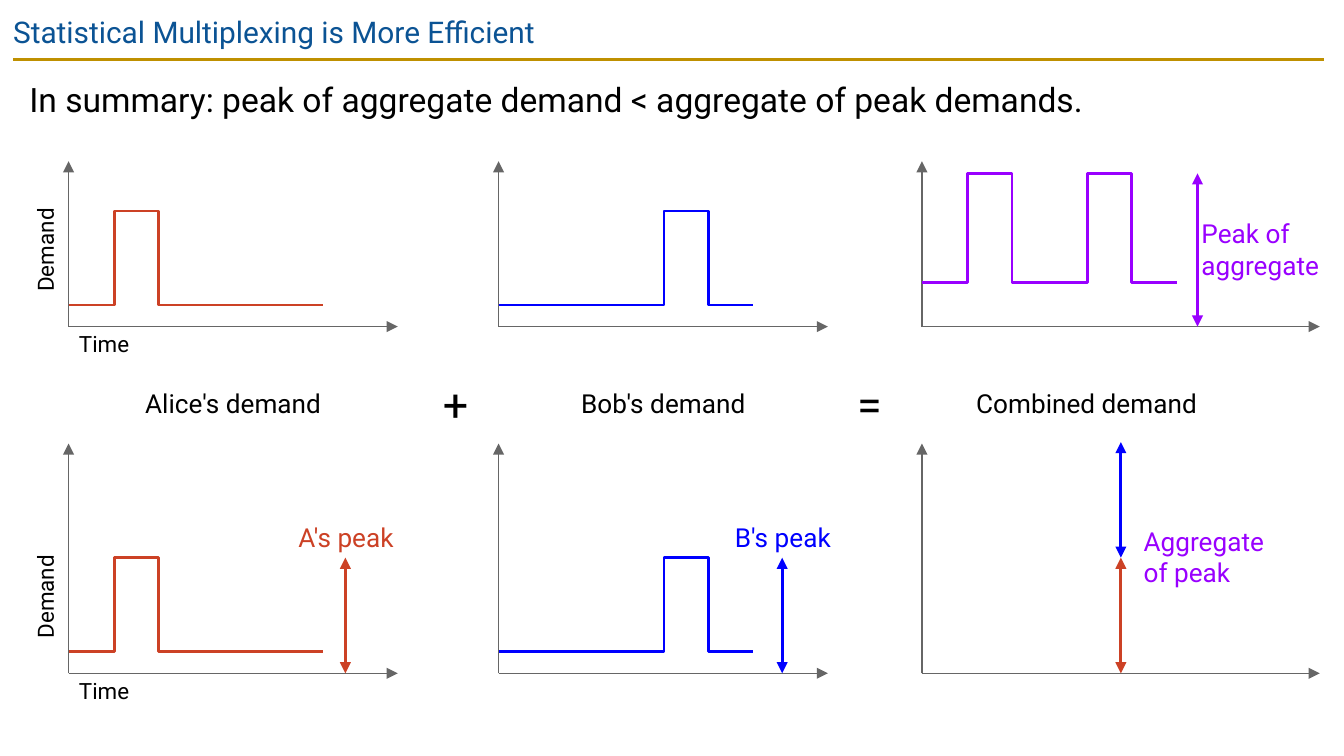
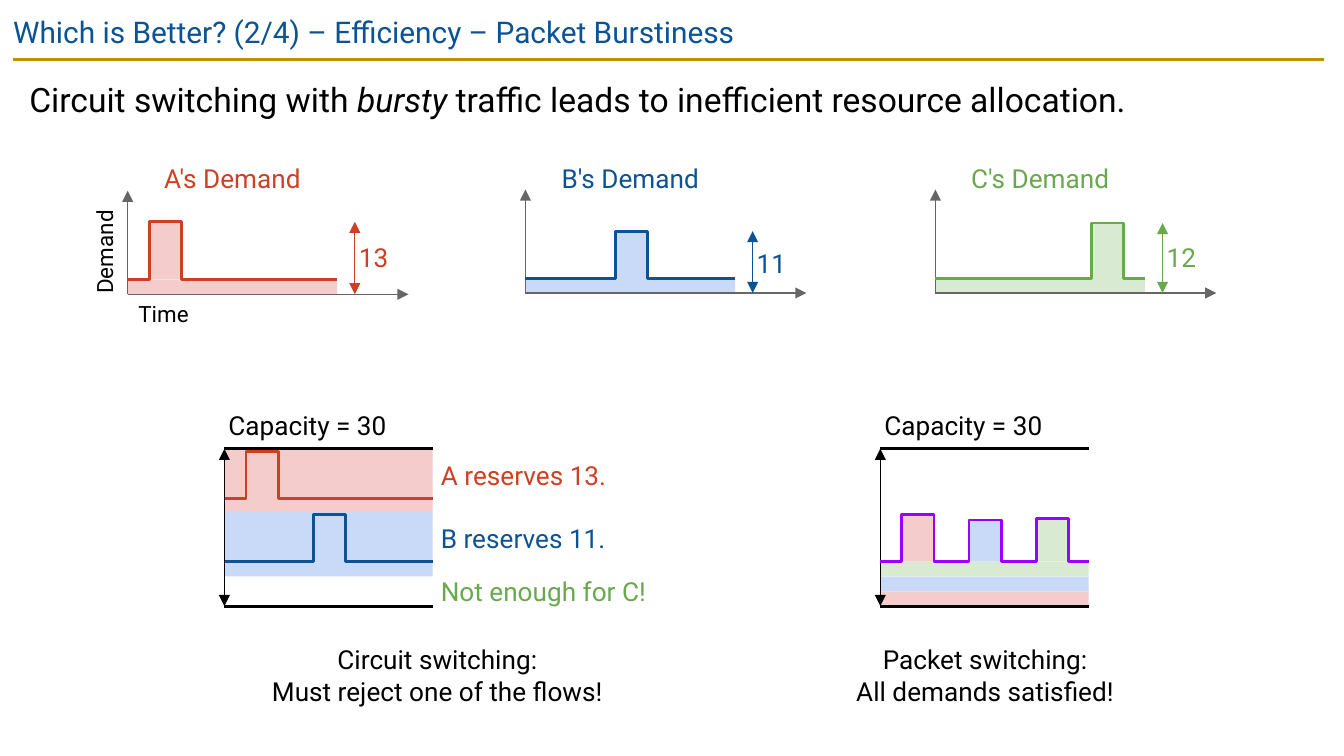
from lxml import etree
from pptx import Presentation
from pptx.dml.color import RGBColor
from pptx.enum import shapes, text
from pptx.oxml import ns
from pptx.util import Inches, Pt

COLORS = {
    "title": "0B5394", "gold": "BF9000", "black": "000000", "axis": "666666",
    "red": "CC4125", "blue": "0000FF", "navy": "0B5394", "green": "6AA84F",
    "purple": "9900FF", "pink": "F4CCCC", "sky": "C9DAF8", "mint": "D9EAD3",
}
FONT = "Roboto"

# Content: summary slide
SUMMARY = {
    "title": "Statistical Multiplexing is More Efficient",
    "body": [("In summary: peak of aggregate demand < aggregate of peak demands.", False)],
}
COLUMNS = [  # axis left, axis right
    (0.51, 2.96), (3.71, 6.16), (6.86, 9.82),
]
ROWS = [(2.43, 1.2), (5.01, 3.3)]  # axis base, axis top
USERS = [  # column, pulse start, colour, peak label, peak arrow x
    (0, 0.34, "red", "A's peak", 2.57),
    (1, 1.23, "blue", "B's peak", 5.82),
]
CAPTIONS = [  # text, left, width
    ("Alice's demand", 0.92, 1.63),
    ("Bob's demand", 4.24, 1.39),
    ("Combined demand", 7.18, 1.81),
]
OPERATORS = [("+", 3.26), ("=", 6.34)]

# Content: burstiness slide
BURSTY = {
    "title": "Which is Better? (2/4) – Efficiency – Packet Burstiness",
    "body": [("Circuit switching with ", False), ("bursty", True),
             (" traffic leads to inefficient resource allocation.", False)],
}
DEMANDS = [  # name, peak, left, base, pulse start, pulse height, label top, line, fill
    ("A's Demand", "13", 0.95, 2.19, 0.16, 0.43, 1.77, "red", "pink"),
    ("B's Demand", "11", 3.91, 2.18, 0.67, 0.35, 1.81, "navy", "sky"),
    ("C's Demand", "12", 6.96, 2.18, 1.16, 0.41, 1.77, "green", "mint"),
]
RESERVED = [  # band top, pulse start, line, fill
    (3.34, 0.16, "red", "pink"),
    (3.81, 0.66, "navy", "sky"),
]
VERDICTS = [
    ("A reserves 13.", 3.39, 1.35, "red"),
    ("B reserves 11.", 3.86, 1.35, "navy"),
    ("Not enough for C!", 4.25, 1.59, "green"),
]
SHARED = [  # pulse start, pulse height, fill
    (0.16, 0.35, "pink"), (0.66, 0.31, "sky"), (1.16, 0.32, "mint"),
]
LINKS = [  # link left, caption, caption left, caption width
    (1.67, "Circuit switching:\nMust reject one of the flows!", 1.67, 3.17),
    (6.55, "Packet switching:\nAll demands satisfied!", 6.33, 2),
]
LINK_TOP, LINK_BASE, LINK_W = 3.34, 4.51, 1.55
PULSE_W, FLOOR = 0.24, 0.11


def rgb(name):
    return RGBColor.from_string(COLORS[name])


def label(s, content, x, y, w, h, size=14, color="black", align="LEFT",
          inset=0.03, rotation=0, spacing=None, grow=True):
    """Add text: a string, or a list of (text, italic) runs."""
    sp = s.shapes.add_textbox(*map(Inches, (x, y, w, h)))
    sp.rotation = rotation
    tf = sp.text_frame
    tf.word_wrap = True
    tf.auto_size = getattr(text.MSO_AUTO_SIZE, "SHAPE_TO_FIT_TEXT" if grow else "NONE")
    for side in ("left", "top", "right", "bottom"):
        setattr(tf, "margin_" + side, Inches(inset))
    p = tf.paragraphs[0]
    p.alignment = getattr(text.PP_ALIGN, align)
    if spacing:
        p.line_spacing = spacing
    runs = [(content, False)] if isinstance(content, str) else content
    for words, italic in runs:
        for i, part in enumerate(words.split("\n")):
            if i:
                p.add_line_break()
            r = p.add_run()
            r.text = part
            for key, value in {"name": FONT, "size": Pt(size), "italic": italic}.items():
                setattr(r.font, key, value)
            r.font.color.rgb = rgb(color)


def line(s, x1, y1, x2, y2, color, width=1.5, ends=()):
    """Add a straight line with triangle arrowheads at the named ends."""
    c = s.shapes.add_connector(shapes.MSO_CONNECTOR.STRAIGHT,
                               *map(Inches, (x1, y1, x2, y2)))
    c.line.color.rgb = rgb(color)
    c.line.width = Pt(width)
    ln = c.line._get_or_add_ln()
    for end in ends:
        etree.SubElement(ln, ns.qn(f"a:{end}End"), type="triangle")
    etree.SubElement(c._element.spPr, ns.qn("a:effectLst"))


def span(s, x, base, top, color, width=1.5):
    line(s, x, base, x, top, color, width, ("head", "tail"))


def axes(s, x, base, right, top):
    line(s, x, base, right, base, "axis", 0.75, ("tail",))
    line(s, x, base, x, top, "axis", 0.75, ("tail",))


def rect(s, x, y, w, h, fill):
    sp = s.shapes.add_shape(shapes.MSO_SHAPE.RECTANGLE, *map(Inches, (x, y, w, h)))
    sp.shadow.inherit = False
    sp.fill.solid()
    sp.fill.fore_color.rgb = rgb(fill)
    sp.line.fill.background()


def wave(s, x, floor, width, pulses, color):
    """Trace a square wave; pulses are (start, width, height) from the floor."""
    points = [(x, floor)]
    for start, w, h in pulses:
        a, b = x + start, x + start + w
        points += [(a, floor), (a, floor - h), (b, floor - h), (b, floor)]
    points.append((x + width, floor))
    points = [(Inches(px), Inches(py)) for px, py in points]
    builder = s.shapes.build_freeform(*points[0], scale=1.0)
    builder.add_line_segments(points[1:], close=False)
    sp = builder.convert_to_shape()
    sp.shadow.inherit = False
    sp.fill.background()
    sp.line.color.rgb = rgb(color)
    sp.line.width = Pt(1.5)


def new_slide(prs, content):
    s = prs.slides.add_slide(prs.slide_layouts[6])
    line(s, 0.1, 0.44, 9.85, 0.44, "gold")
    label(s, content["title"], 0, 0, 10, 0.43, 16, "title", inset=0.1, grow=False)
    label(s, content["body"], 0.12, 0.44, 9.74, 0.6, 18, inset=0.1,
          spacing=1.15, grow=False)
    return s


def summary_slide(prs):
    s = new_slide(prs, SUMMARY)
    # Axes and single-user waves in both rows
    for base, top in ROWS:
        for x, right in COLUMNS:
            axes(s, x, base, right, top)
        label(s, "Time", 0.51, base, 0.53, 0.26, 12, align="CENTER")
        label(s, "Demand", -0.07, base - 0.7, 0.81, 0.26, 12, align="CENTER", rotation=270)
        for col, start, color, _, _ in USERS:
            wave(s, COLUMNS[col][0], base - 0.16, 1.89, [(start, 0.33, 0.7)], color)

    # Combined demand
    base = ROWS[0][0]
    wave(s, COLUMNS[2][0], 2.1, 1.9, [(u[1], 0.33, 0.81) for u in USERS], "purple")
    span(s, 8.91, base, 1.29, "purple")
    label(s, "Peak of aggregate", 8.91, 1.59, 0.96, 0.53, color="purple")

    # Separate peaks, then stacked
    base, peak_h = ROWS[1][0], 0.86
    for i, (_, _, color, name, x) in enumerate(USERS):
        span(s, x, base, base - peak_h, color)
        label(s, name, x - 0.4, 3.85, 0.81, 0.3, color=color, align="CENTER")
        span(s, 8.34, base - i * peak_h, base - (i + 1) * peak_h, color)
    label(s, "Aggregate of peak", 8.48, 3.88, 0.96, 0.53, color="purple")

    # Equation between the rows
    for name, x, w in CAPTIONS:
        label(s, name, x, 2.85, w, 0.3, align="CENTER")
    for sign, x in OPERATORS:
        label(s, sign, x, 2.8, 0.26, 0.4, 24, align="CENTER", inset=0)


def bursty_slide(prs):
    s = new_slide(prs, BURSTY)
    # Demand of each flow
    for name, peak, x, base, start, h, label_y, color, fill in DEMANDS:
        floor = base - FLOOR
        rect(s, x + start, floor - h, PULSE_W, h, fill)
        rect(s, x, floor, 1.56, FLOOR, fill)
        axes(s, x, base, x + 2.09, base - 0.77)
        wave(s, x, floor, 1.56, [(start, PULSE_W, h)], color)
        label(s, name, x, 1.18, 1.56, 0.3, color=color, align="CENTER")
        label(s, peak, x + 1.69, label_y, 0.32, 0.3, color=color)
        span(s, x + 1.69, base, floor - h, color, 0.75)
    label(s, "Time", 1.03, 2.23, 0.41, 0.2, 12, inset=0)
    label(s, "Demand", 0.45, 1.76, 0.65, 0.2, 12, inset=0, rotation=270)

    # Circuit switching: reserved bands
    x = LINKS[0][0]
    for y, _, _, fill in RESERVED:
        rect(s, x, y, LINK_W, 0.48, fill)
    for y, start, color, _ in RESERVED:
        wave(s, x, y + 0.37, LINK_W, [(start, PULSE_W, 0.35)], color)
    for verdict, y, w, color in VERDICTS:
        label(s, verdict, 3.25, y, w, 0.3, color=color)

    # Packet switching: stacked floors and shared room above
    x = LINKS[1][0]
    floor = LINK_BASE - len(SHARED) * FLOOR
    for i, (start, h, fill) in enumerate(SHARED):
        rect(s, x, LINK_BASE - (i + 1) * FLOOR, LINK_W, FLOOR, fill)
        rect(s, x + start, floor - h, PULSE_W, h, fill)

    # Capacity frames and captions
    for left, caption, caption_x, caption_w in LINKS:
        for y in (LINK_TOP, LINK_BASE):
            line(s, left, y, left + LINK_W, y, "black")
        span(s, left, LINK_BASE, LINK_TOP, "black", 0.75)
        label(s, "Capacity = 30", left, 3.02, 1.29, 0.3)
        label(s, caption, caption_x, 4.76, caption_w, 0.53, align="CENTER")
    wave(s, x, floor, LINK_W, [(start, PULSE_W, h) for start, h, _ in SHARED], "purple")


def main():
    prs = Presentation()
    prs.slide_width = Inches(10)
    prs.slide_height = prs.slide_width * 9 // 16
    summary_slide(prs)
    bursty_slide(prs)
    prs.save("out.pptx")


if __name__ == "__main__":
    main()
